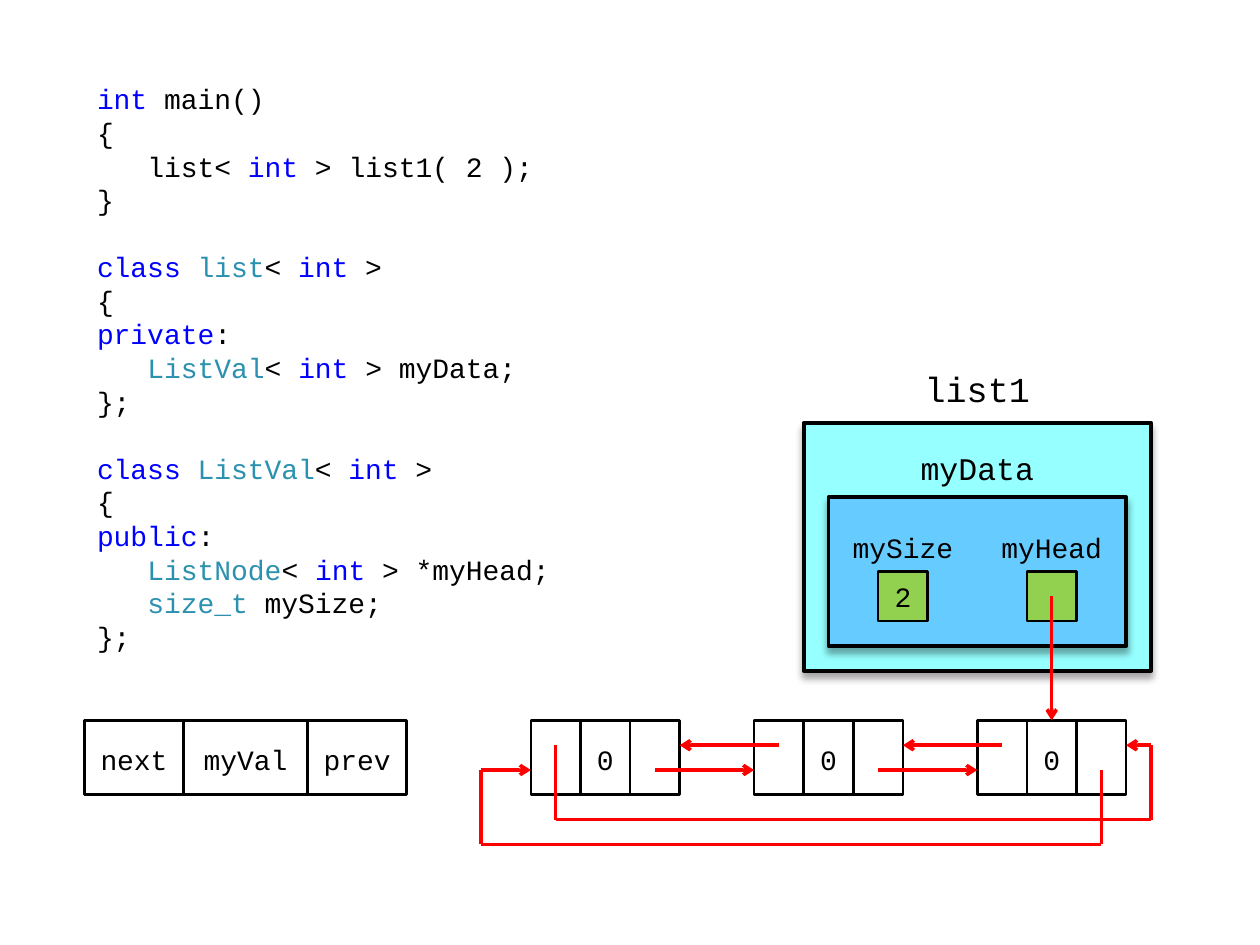
from dataclasses import dataclass
from itertools import groupby, pairwise
from typing import Optional

from lxml import etree
from pptx import Presentation
from pptx import util as u
from pptx.dml.color import RGBColor
from pptx.enum import shapes, text
from pptx.oxml import ns, parse_xml

BLACK = RGBColor(0x00, 0x00, 0x00)
RED = RGBColor(0xFF, 0x00, 0x00)
CYAN = RGBColor(0x96, 0xFF, 0xFF)
SKY = RGBColor(0x66, 0xCC, 0xFF)
GREEN = RGBColor(0x92, 0xD0, 0x50)
KEYWORD_BLUE = RGBColor(0x00, 0x00, 0xFF)
TYPE_TEAL = RGBColor(0x2B, 0x91, 0xAF)

FONT = "Courier New"
UNIT = 0.5 / 2.54  # the drawing sits on a 5 mm grid
LEFT, TOP = 0.67, 0.6  # grid origin
NODE_TOP = 26
LABEL_INSETS = (0.1, 0.06, 0.1, 0.04)
PLAIN_INSETS = (0.04, 0.05, 0.04, 0.05)

RECT = shapes.MSO_SHAPE.RECTANGLE
PROCESS = shapes.MSO_SHAPE.FLOWCHART_PROCESS

KEYWORDS = {"int", "class", "private", "public"}
TYPES = {"ListVal", "ListNode", "size_t"}
LINE_PITCH = u.Pt(19.2)
CODE_INDENT = u.Inches(0.4)
# A leading tab marks an indented line; each block is set apart by a line's height.
CODE_BLOCKS = [
    ["int main()", "{", "\tlist< int > list1( 2 );", "}"],
    ["class list< int >", "{", "private:", "\tListVal< int > myData;", "};"],
    ["class ListVal< int >", "{", "public:", "\tListNode< int > *myHead;",
     "\tsize_t mySize;", "};"],
]


@dataclass
class Box:
    """A rectangle in grid units; a line width of 0 means no outline."""
    x: float
    y: float
    width: float
    height: float
    label: str = ""
    fill: Optional[RGBColor] = None
    line: float = 1.5
    kind: int = RECT
    size: int = 16
    insets: tuple = LABEL_INSETS
    shadow: bool = False


@dataclass
class Link:
    """A red path through grid points."""
    points: list
    arrow: bool = True


CONTAINERS = [
    Box(29, 14, 14, 10, fill=CYAN, line=2.25, kind=PROCESS, shadow=True),
    Box(30, 17, 12, 6, fill=SKY, line=2.25, kind=PROCESS, shadow=True),
]
MEMBERS = [
    Box(30, 18, 6, 2, "mySize", line=0, kind=PROCESS, insets=PLAIN_INSETS),
    Box(36, 18, 6, 2, "myHead", line=0, kind=PROCESS, insets=PLAIN_INSETS),
    Box(32, 20, 2, 2, "2", fill=GREEN, insets=(0.1, 0.05, 0.1, 0.05)),
    Box(38, 20, 2, 2, fill=GREEN),
]
CAPTIONS = [
    Box(33, 11, 6, 3, "list1", size=20, insets=(0.08, 0.04, 0.08, 0)),
    Box(33, 14, 6, 3, "myData", size=18, insets=(0.08, 0.12, 0.08, 0)),
]
LEGEND = [
    Box(0, NODE_TOP, 4, 3, "next"),
    Box(4, NODE_TOP, 5, 3, "myVal"),
    Box(9, NODE_TOP, 4, 3, "prev"),
]
NODE_STARTS = (18, 27, 36)
NODES = [Box(start + 2 * i, NODE_TOP, 2, 3, label)
         for start in NODE_STARTS for i, label in enumerate(("", "0", ""))]
LINKS = [
    *(Link([(a + 5, 28), (b, 28)]) for a, b in pairwise(NODE_STARTS)),
    *(Link([(b + 1, 27), (a + 6, 27)]) for a, b in pairwise(NODE_STARTS)),
    Link([(41, 28), (41, 31), (16, 31), (16, 28), (18, 28)]),
    Link([(19, 27), (19, 30), (43, 30), (43, 27), (42, 27)]),
    Link([(39, 21), (39, 26)]),
]


def grid_x(n: float) -> int:
    return u.Inches(LEFT + n * UNIT)


def grid_y(n: float) -> int:
    return u.Inches(TOP + n * UNIT)


def span_of(n: float) -> int:
    return u.Inches(n * UNIT)


def add_text(para, words: str, *, size: float = 16, color: RGBColor = BLACK) -> None:
    span = para.add_run()
    span.text = words
    span.font.name = FONT
    span.font.size = u.Pt(size)
    span.font.color.rgb = color


def add_label(shape, box: Box) -> None:
    frame = shape.text_frame
    frame.word_wrap = True
    frame.vertical_anchor = text.MSO_ANCHOR.MIDDLE
    (frame.margin_left, frame.margin_top,
     frame.margin_right, frame.margin_bottom) = map(u.Inches, box.insets)
    para = frame.paragraphs[0]
    para.alignment = text.PP_ALIGN.CENTER
    add_text(para, box.label, size=box.size)


def place(box: Box) -> tuple:
    return grid_x(box.x), grid_y(box.y), span_of(box.width), span_of(box.height)


def add_soft_shadow(shape) -> None:
    effects = shape._element.spPr.find(ns.qn("a:effectLst"))
    effects.append(parse_xml(
        f'<a:outerShdw {ns.nsdecls("a")} blurRad="{u.Pt(4)}" dist="{u.Pt(3)}" '
        'dir="5400000" rotWithShape="0"><a:srgbClr val="000000">'
        '<a:alpha val="35000"/></a:srgbClr></a:outerShdw>'))


def add_box(page, box: Box) -> None:
    shape = page.shapes.add_shape(box.kind, *place(box))
    shape.shadow.inherit = False
    if box.fill is None:
        shape.fill.background()
    else:
        shape.fill.solid()
        shape.fill.fore_color.rgb = box.fill
    if box.line:
        shape.line.color.rgb = BLACK
        shape.line.width = u.Pt(box.line)
    else:
        shape.line.fill.background()
    if box.shadow:
        add_soft_shadow(shape)
    if box.label:
        add_label(shape, box)


def add_link(page, link: Link) -> None:
    """Draw one straight connector per segment, the last with an arrowhead."""
    for start, end in pairwise(link.points):
        connector = page.shapes.add_connector(
            shapes.MSO_CONNECTOR.STRAIGHT, grid_x(start[0]), grid_y(start[1]),
            grid_x(end[0]), grid_y(end[1]))
        connector.line.color.rgb = RED
        connector.line.width = u.Pt(2)
        etree.SubElement(connector._element.spPr, ns.qn("a:effectLst"))
    if link.arrow:
        outline = connector.line._get_or_add_ln()
        etree.SubElement(outline, ns.qn("a:tailEnd"), type="arrow")


def add_code_line(para, line: str) -> None:
    """Colour keywords blue, and types or newly declared names teal."""
    props = para._p.get_or_add_pPr()
    props.set("marL", str(CODE_INDENT if line.startswith("\t") else 0))
    props.set("indent", "0")
    etree.SubElement(props, ns.qn("a:buNone"))
    previous = ""
    for is_word, chars in groupby(line.strip(), lambda c: c.isalnum() or c == "_"):
        token = "".join(chars)
        color = BLACK
        if token in KEYWORDS:
            color = KEYWORD_BLUE
        elif is_word and (token in TYPES or previous == "class"):
            color = TYPE_TEAL
        add_text(para, token, color=color)
        previous = token if is_word else previous


def fill_code(body) -> None:
    body.left, body.top, body.width, body.height = place(Box(0, 0, 20, 24))
    frame = body.text_frame
    frame.auto_size = text.MSO_AUTO_SIZE.NONE
    frame.vertical_anchor = text.MSO_ANCHOR.TOP
    for b, block in enumerate(CODE_BLOCKS):
        for i, line in enumerate(block):
            para = frame.paragraphs[0] if b == i == 0 else frame.add_paragraph()
            para.line_spacing = LINE_PITCH
            para.space_before = LINE_PITCH if b and i == 0 else u.Pt(0)
            add_code_line(para, line)


def main() -> None:
    deck = Presentation()
    deck.slide_width, deck.slide_height = u.Inches(10), u.Inches(7.5)
    page = deck.slides.add_slide(deck.slide_layouts[1])
    title = page.shapes.title._element
    title.getparent().remove(title)
    fill_code(page.placeholders[1])
    for box in CONTAINERS + MEMBERS + LEGEND + NODES:
        add_box(page, box)
    for caption in CAPTIONS:
        add_label(page.shapes.add_textbox(*place(caption)), caption)
    for link in LINKS:
        add_link(page, link)
    deck.save("out.pptx")


if __name__ == "__main__":
    main()
